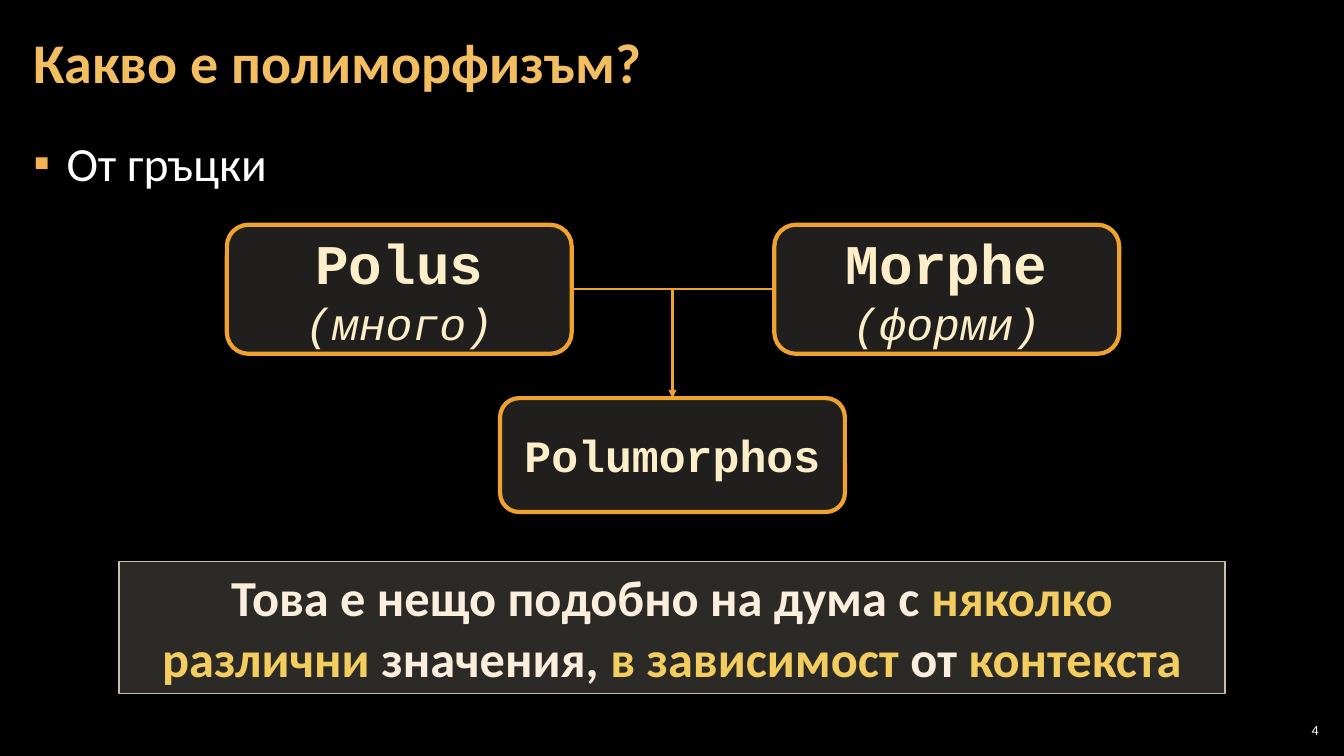
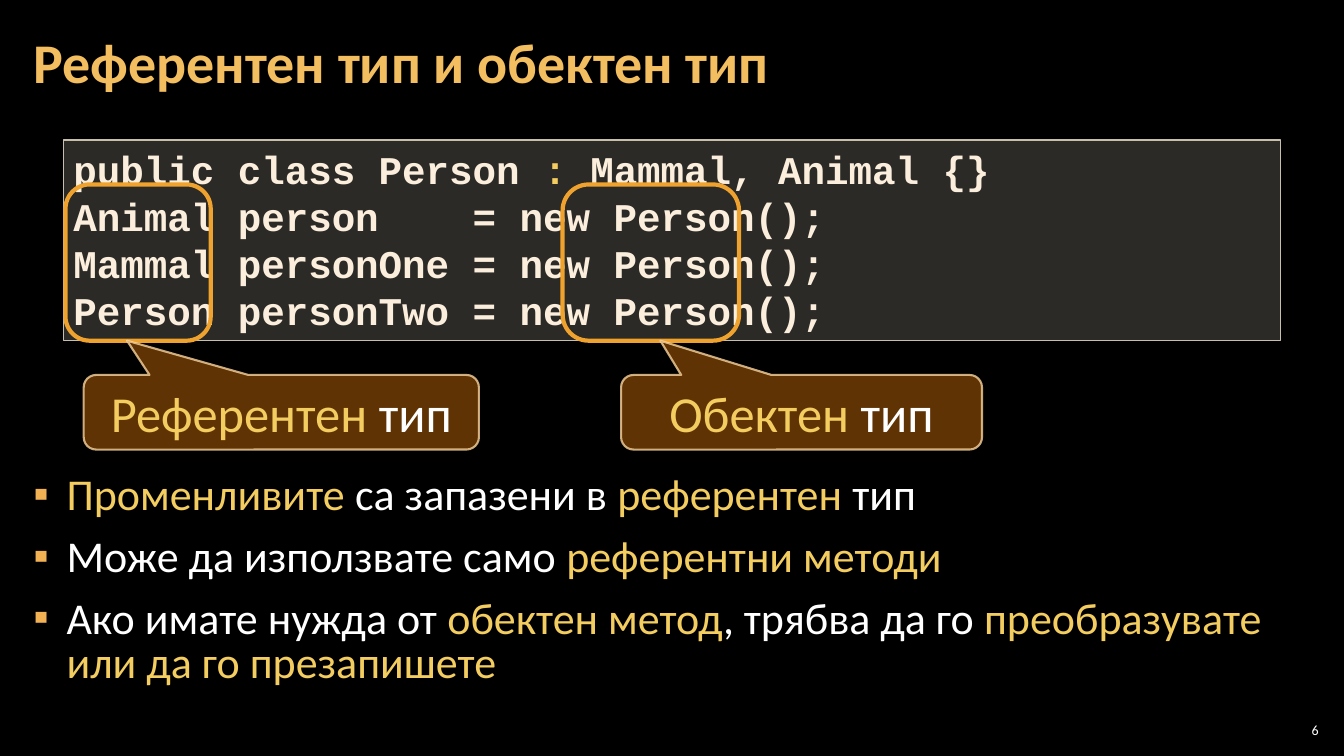
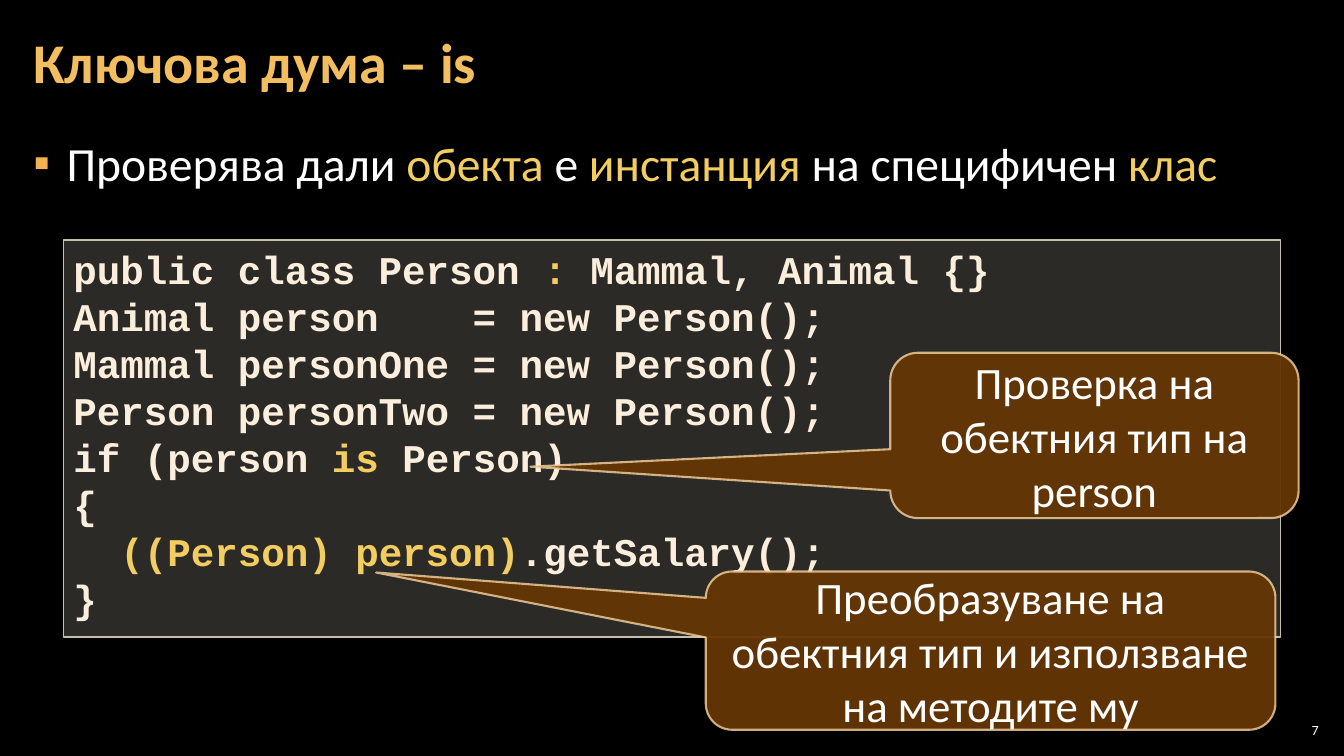
import pptx
import pptx.util
import pptx.dml.color
import pptx.enum.shapes
import pptx.enum.text
import pptx.oxml
import pptx.oxml.ns

PX = 9144
RGBColor = pptx.dml.color.RGBColor
SHAPE = pptx.enum.shapes.MSO_SHAPE
ALIGN = pptx.enum.text.PP_ALIGN
ANCHOR = pptx.enum.text.MSO_ANCHOR

BLACK = RGBColor(0x00, 0x00, 0x00)
WHITE = RGBColor(0xFF, 0xFF, 0xFF)
TITLE = RGBColor(0xF3, 0xBE, 0x60)
ACCENT = RGBColor(0xF3, 0xCD, 0x60)
BULLET = RGBColor(0xF2, 0xB2, 0x54)
ORANGE = RGBColor(0xF0, 0xA2, 0x2E)
CREAM = RGBColor(0xFB, 0xEE, 0xC9)
CODE = RGBColor(0xFB, 0xEE, 0xDC)
PANEL = RGBColor(0xD9, 0xD5, 0xC7)
PANEL_LINE = RGBColor(0xC7, 0xBF, 0xAC)
BROWN = RGBColor(0x66, 0x36, 0x06)
SAND = RGBColor(0xF8, 0xD4, 0x9E)

TITLE_BOX = (21, 4, 1291, 121)
BODY_BOX = (21, 126, 1291, 609)
NUMBER_BOX = (1265, 714, 47, 21)
BODY_MARGINS = (12, 4, 12, 4)
SHAPE_MARGINS = (10, 5, 10, 5)

CLASS_CODE = [
    "public class Person *:* Mammal, Animal {}",
    "Animal person    = new Person();",
    "Mammal personOne = new Person();",
    "Person personTwo = new Person();",
]
IS_CODE = ["if (person *is* Person)", "{", "  *((Person) person)*.getSalary();", "}"]


def emu(*lengths):
    return [pptx.util.Emu(n * PX) for n in lengths]


def place(sp, box):
    sp.left, sp.top, sp.width, sp.height = emu(*box)


def sub(parent, tag, **attrs):
    el = pptx.oxml.parse_xml(f"<{tag} {pptx.oxml.ns.nsdecls('a')}/>")
    for name, value in attrs.items():
        el.set(name, str(value))
    parent.append(el)
    return el


def add_bullet(p):
    pPr = p._p.get_or_add_pPr()
    pPr.set("marL", str(33 * PX))
    pPr.set("indent", str(-33 * PX))
    sub(sub(pPr, "a:buClr"), "a:srgbClr", val=BULLET)
    sub(pPr, "a:buFont", typeface="Arial")
    sub(pPr, "a:buChar", char="▪")


def add_text(tf, text, size, color=WHITE, font="Calibri", bold=False, italic=False,
             align=ALIGN.LEFT, spacing=None, before=None, after=None, bullet=False):
    p = tf.paragraphs[0]
    if p.runs:
        p = tf.add_paragraph()
    if bullet:
        add_bullet(p)
    p.alignment = align
    p.line_spacing = spacing
    if before is not None:
        p.space_before = pptx.util.Pt(before)
    if after is not None:
        p.space_after = pptx.util.Pt(after)
    for i, part in enumerate(text.split("*")):
        if part:
            r = p.add_run()
            r.text = part
            r.font.name = font
            r.font.size = pptx.util.Pt(size)
            r.font.bold = bold
            r.font.italic = italic
            r.font.color.rgb = ACCENT if i % 2 else color


def set_frame(tf, margins, anchor, wrap=True):
    tf.margin_left, tf.margin_top, tf.margin_right, tf.margin_bottom = emu(*margins)
    tf.vertical_anchor = anchor
    tf.word_wrap = wrap
    tf.auto_size = pptx.enum.text.MSO_AUTO_SIZE.NONE


def set_alpha(fill_xml, percent):
    for color in fill_xml.iter(pptx.oxml.ns.qn("a:srgbClr")):
        sub(color, "a:alpha", val=percent * 1000)


def add_box(s, kind, box, fill, alpha, line, width, line_alpha=None):
    sp = s.shapes.add_shape(kind, *emu(*box))
    sp.shadow.inherit = False
    if fill is None:
        sp.fill.background()
    else:
        sp.fill.solid()
        sp.fill.fore_color.rgb = fill
        set_alpha(sp._element.spPr.find(pptx.oxml.ns.qn("a:solidFill")), alpha)
    sp.line.color.rgb = line
    sp.line.width = pptx.util.Pt(width)
    if line_alpha:
        set_alpha(sp._element.spPr.find(pptx.oxml.ns.qn("a:ln")), line_alpha)
    return sp


def add_line(s, start, end, arrow=False):
    line = s.shapes.add_connector(pptx.enum.shapes.MSO_CONNECTOR.STRAIGHT, *emu(*start, *end))
    line.line.color.rgb = ORANGE
    line.line.width = pptx.util.Pt(1.5)
    if arrow:
        sub(line.line._get_or_add_ln(), "a:tailEnd", type="triangle")
    sub(line._element.spPr, "a:effectLst")


def word_box(s, box, word, size, meaning=None):
    sp = add_box(s, SHAPE.ROUNDED_RECTANGLE, box, PANEL, 15, ORANGE, 3)
    tf = sp.text_frame
    set_frame(tf, SHAPE_MARGINS, ANCHOR.MIDDLE, wrap=False)
    style = dict(color=CREAM, font="Courier New", align=ALIGN.CENTER)
    add_text(tf, word, size, bold=True, **style)
    if meaning:
        add_text(tf, meaning, 32, italic=True, **style)


def word_diagram(s, box):
    x, y, w, h = box
    word_w, word_h, result_h = 342, 128, 113
    right, middle = x + w - word_w, x + w // 2
    join_y, result_y = y + word_h // 2, y + h - result_h
    word_box(s, (x, y, word_w, word_h), "Polus", 40, "(много)")
    word_box(s, (right, y, word_w, word_h), "Morphe", 40, "(форми)")
    word_box(s, (middle - word_w // 2, result_y, word_w, result_h), "Polumorphos", 32)
    add_line(s, (x + word_w, join_y), (right, join_y))
    add_line(s, (middle, join_y), (middle, result_y), arrow=True)


def panel(s, box):
    sp = add_box(s, SHAPE.RECTANGLE, box, PANEL, 20, PANEL_LINE, 1)
    set_frame(sp.text_frame, SHAPE_MARGINS, ANCHOR.TOP)
    return sp.text_frame


def code_panel(s, box, lines):
    tf = panel(s, box)
    for line in lines:
        add_text(tf, line, 28, CODE, "Courier New", bold=True)


def highlight(s, panel_box, offset):
    dx, dy, w, h = offset
    box = (panel_box[0] + dx, panel_box[1] + dy, w, h)
    add_box(s, SHAPE.ROUNDED_RECTANGLE, box, None, 0, ORANGE, 3)


def callout(s, panel_box, offset, tip, text, size):
    dx, dy, w, h = offset
    box = (panel_box[0] + dx, panel_box[1] + dy, w, h)
    sp = add_box(s, SHAPE.ROUNDED_RECTANGULAR_CALLOUT, box, BROWN, 95, SAND, 1.5, 80)
    sp.adjustments[0] = (tip[0] - dx) / w - 0.5
    sp.adjustments[1] = (tip[1] - dy) / h - 0.5
    set_frame(sp.text_frame, SHAPE_MARGINS, ANCHOR.MIDDLE)
    add_text(sp.text_frame, text, size, align=ALIGN.CENTER)


def base_slide(prs, title, bullets, number, body_box=BODY_BOX, size=34, spacing=1.05):
    s = prs.slides.add_slide(prs.slide_layouts[1])
    head, body = s.shapes.title, s.placeholders[1]
    place(head, TITLE_BOX)
    set_frame(head.text_frame, BODY_MARGINS, ANCHOR.MIDDLE)
    add_text(head.text_frame, title, 40, TITLE, bold=True, spacing=0.9)
    place(body, body_box)
    set_frame(body.text_frame, BODY_MARGINS, ANCHOR.TOP)
    for i, text in enumerate(bullets):
        add_text(body.text_frame, text, size, spacing=spacing,
                 before=6 if i else 0, after=6, bullet=True)
    tf = s.shapes.add_textbox(*emu(*NUMBER_BOX)).text_frame
    set_frame(tf, (4, 4, 4, 4), ANCHOR.MIDDLE)
    add_text(tf, str(number), 10, align=ALIGN.RIGHT)
    return s


def origin_slide(prs):
    s = base_slide(prs, "Какво е полиморфизъм?", ["От гръцки"], 4)
    word_diagram(s, (225, 223, 885, 285))
    tf = panel(s, (118, 557, 1097, 131))
    add_text(tf, "Това е нещо подобно на дума с *няколко различни *значения, "
             "*в зависимост *от *контекста*", 36, CODE, bold=True, align=ALIGN.CENTER)


def types_slide(prs):
    bullets = [
        "*Променливите *са запазени в *референтен *тип",
        "Може да използвате само *референтни методи*",
        "Ако имате нужда от *обектен метод*, трябва да го *преобразувате или да го презапишете*",
    ]
    s = base_slide(prs, "Референтен тип и обектен тип", bullets, 6,
                   (21, 467, 1291, 225), 31.4, 0.85)
    box = (63, 139, 1207, 199)
    code_panel(s, box, CLASS_CODE)
    for mark_x, mark_w, note_x, note_w, tip_x, text in (
        (2, 144, 20, 392, 63, "*Референтен *тип"),
        (495, 175, 553, 358, 592, "*Обектен *тип"),
    ):
        highlight(s, box, (mark_x, 44, mark_w, 155))
        callout(s, box, (note_x, 233, note_w, 74), (tip_x, 199), text, 36)


def keyword_slide(prs):
    s = base_slide(prs, "Ключова дума – is",
                   ["Проверява дали *обекта *е *инстанция *на специфичен *клас*"], 7)
    box = (63, 238, 1207, 394)
    code_panel(s, box, CLASS_CODE + IS_CODE)
    callout(s, box, (637, 329, 565, 157), (310, 330),
            "Преобразуване на обектния тип и използване на методите му", 32)
    callout(s, box, (820, 112, 405, 164), (463, 225),
            "Проверка на обектния тип на person", 32)


def main():
    prs = pptx.Presentation()
    prs.slide_width, prs.slide_height = emu(1333, 750)
    fill = prs.slide_master.background.fill
    fill.solid()
    fill.fore_color.rgb = BLACK
    origin_slide(prs)
    types_slide(prs)
    keyword_slide(prs)
    prs.save("out.pptx")


if __name__ == "__main__":
    main()
